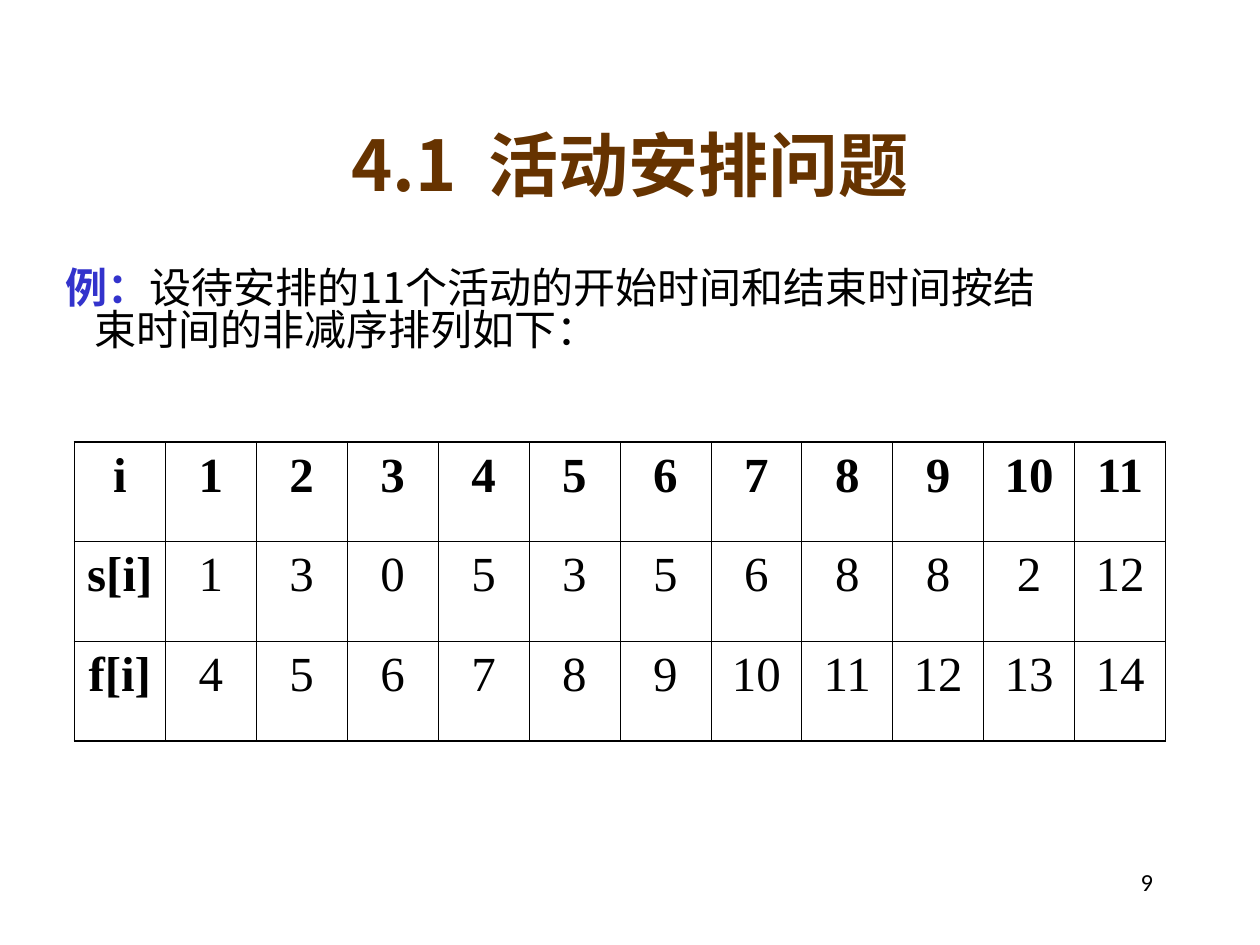
from lxml.etree import SubElement
from pptx import Presentation
from pptx.dml.color import RGBColor
from pptx.enum.text import MSO_ANCHOR, PP_ALIGN
from pptx.oxml.ns import qn
from pptx.util import Inches, Pt

CJK_FONT = "Noto Sans CJK SC"
ROWS = [
    ["i", *range(1, 12)],
    ["s[i]", 1, 3, 0, 5, 3, 5, 6, 8, 8, 2, 12],
    ["f[i]", *range(4, 15)],
]


def color(value):
    return RGBColor.from_string(value)


def style(span, size, font, tint="000000", bold=False):
    span.font.size = Pt(size)
    span.font.name = font
    span.font.bold = bold
    span.font.color.rgb = color(tint)
    east_asian = SubElement(span.font._element, qn("a:ea"))
    east_asian.set("typeface", font)


def add_box(page, left, top, width, height):
    box = page.shapes.add_textbox(Inches(left), Inches(top), Inches(width), Inches(height))
    box.text_frame.word_wrap = True
    return box.text_frame


def add_title(page, left, top, width, height):
    frame = add_box(page, left, top, width, height)
    frame.vertical_anchor = MSO_ANCHOR.MIDDLE
    para = frame.paragraphs[0]
    para.alignment = PP_ALIGN.CENTER
    for text, spacing in (("4.1", 0), (" ", 9), ("活动安排问题", 0)):
        span = para.add_run()
        span.text = text
        style(span, 40, CJK_FONT, "663300", True)
        span.font._element.set("spc", str(spacing * 100))


def add_example(page, left, top, width, height):
    para = add_box(page, left, top, width, height).paragraphs[0]
    para.line_spacing = 0.82
    properties = para._p.get_or_add_pPr()
    properties.set("marL", str(Inches(0.38)))
    properties.set("indent", str(Inches(-0.23)))
    for text, tint, bold in (
        ("例：", "3333CC", True),
        ("设待安排的11个活动的开始时间和结束时间按结束时间的非减序排列如下：", "000000", False),
    ):
        span = para.add_run()
        span.text = text
        style(span, 24, CJK_FONT, tint, bold)


def add_border(cell, side, width):
    line = SubElement(cell._tc.get_or_add_tcPr(), qn(f"a:{side}"), w=str(Pt(width)))
    fill = SubElement(line, qn("a:solidFill"))
    SubElement(fill, qn("a:srgbClr"), val="000000")


def add_schedule(page, left, top, width, height):
    last_row, last_column = len(ROWS) - 1, len(ROWS[0]) - 1
    table = page.shapes.add_table(
        len(ROWS), len(ROWS[0]), Inches(left), Inches(top), Inches(width), Inches(height)
    ).table
    for row, values in enumerate(ROWS):
        for column, value in enumerate(values):
            cell = table.cell(row, column)
            cell.text = str(value)
            para = cell.text_frame.paragraphs[0]
            para.alignment = PP_ALIGN.CENTER
            style(para.runs[0], 28, "Times New Roman", bold=row == 0 or column == 0)
            for side, outer in (
                ("lnL", column == 0),
                ("lnR", column == last_column),
                ("lnT", row == 0),
                ("lnB", row == last_row),
            ):
                add_border(cell, side, 1.08 if outer else 0.45)
            cell.fill.background()


def add_page_number(page, left, top, width, height):
    para = add_box(page, left, top, width, height).paragraphs[0]
    para.text = "9"
    para.alignment = PP_ALIGN.RIGHT
    style(para.runs[0], 14, "Calibri")


def main():
    deck = Presentation()
    deck.slide_width, deck.slide_height = Inches(10), Inches(7.5)
    page = deck.slides.add_slide(deck.slide_layouts[6])
    add_title(page, 0.75, 0.67, 8.5, 1.25)
    add_example(page, 0.27, 2.1, 8.27, 1.19)
    add_schedule(page, 0.59, 3.51, 8.66, 2.37)
    add_page_number(page, 7.17, 6.83, 2.08, 0.5)
    deck.save("out.pptx")


if __name__ == "__main__":
    main()
